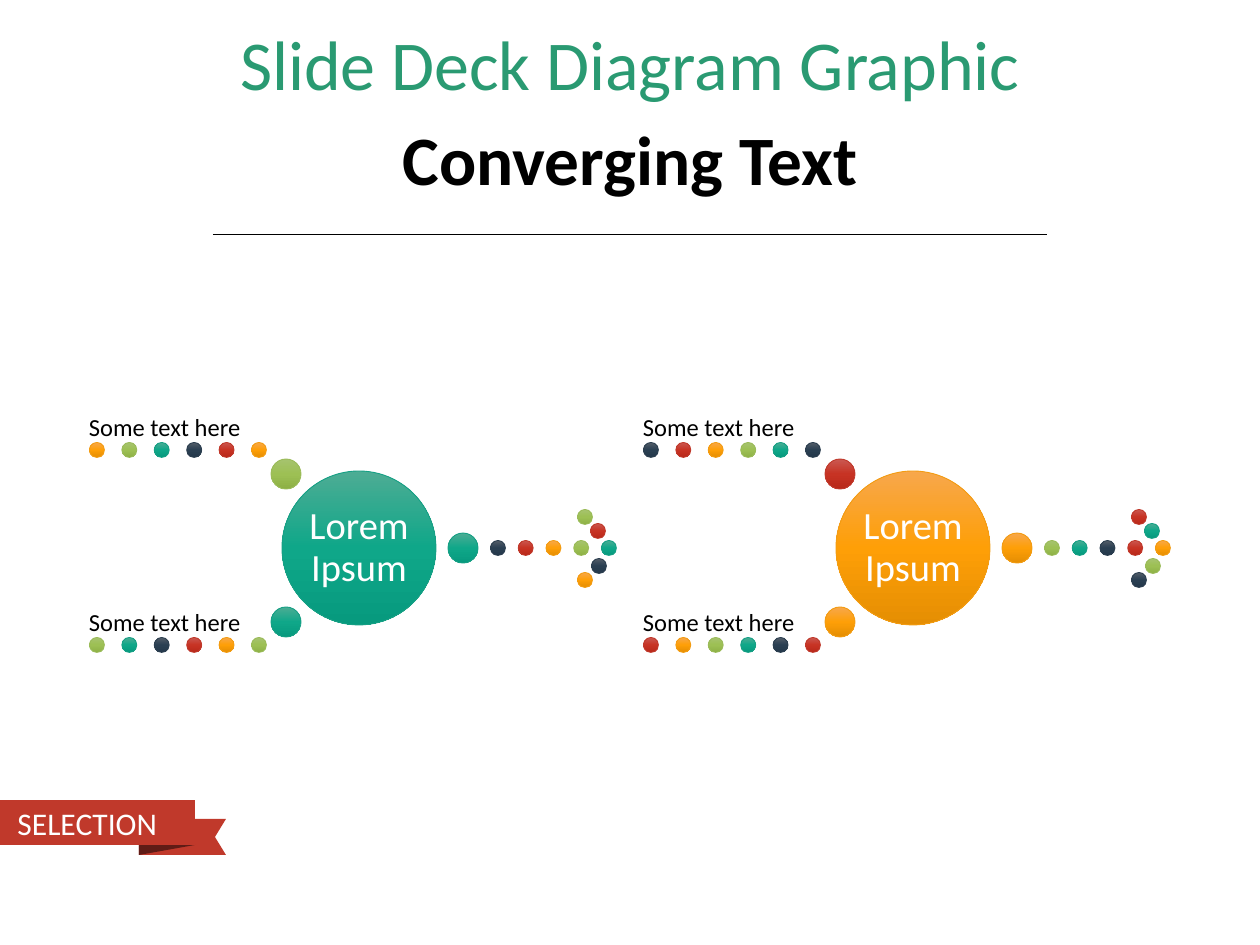
from copy import deepcopy
from itertools import cycle, islice
from pptx import Presentation
from pptx.dml.color import RGBColor as RGB
from pptx.enum.shapes import MSO_CONNECTOR as Link, MSO_SHAPE as Kind
from pptx.enum.text import MSO_ANCHOR as Anchor, PP_ALIGN as Align
from pptx.oxml.ns import qn
from pptx.util import Pt
from lxml.etree import SubElement

# Content
HEAD = "Slide Deck Diagram Graphic"
TITLE = "Converging Text"
TAG = "SELECTION"
# left edge, first colour, hub text, labels
PARTS = [
    (89, "teal", "Lorem Ipsum", ["Some text here", "Some text here"]),
    (643, "orange", "Lorem Ipsum", ["Some text here", "Some text here"]),
]
INK = {"head": "2A9A72", "black": "000000", "white": "FFFFFF",
       "red": "C0392B", "fold": "601C16"}
# line colour, then gradient from top to bottom
BALLS = {
    "teal": ("16A085", "4DAC94", "0FA789", "079A7E"),
    "green": ("9BBB59", "A6C36F", "9DC054", "8DB045"),
    "orange": ("F39C12", "F7A74C", "FE9F07", "E58E03"),
    "red": ("C0392B", "CA5952", "C73324", "B82819"),
    "navy": ("2C3F50", "545E69", "2A3F52", "24384A"),
}
NAMES = list(BALLS)

# Sizes and places in px; x counts from the left edge of a part
DOT, BIG, HUB = 15, 30, 154
MID = 548
HUB_X, SIDE_X, TAIL_X = 270, 197, 374
ROWS = [(474, 450), (622, 645)]  # centre of side ball, of dot row
TIP = [(496, 517), (496, 580), (509, 531), (510, 566)]
FONT = "Calibri"


def px(n):
    return round(n * 914400 / 126)


deck = Presentation()
deck.slide_width, deck.slide_height = px(1260), px(945)
slide = deck.slides.add_slide(deck.slide_layouts[5])
shapes = slide.shapes


def place(shape, *box):
    shape.left, shape.top, shape.width, shape.height = map(px, box)


def write(shape, text, size, ink, align, anchor, pads, bold=False, gap=0.9):
    frame = shape.text_frame
    frame.word_wrap = True
    frame.vertical_anchor = anchor
    (frame.margin_left, frame.margin_top,
     frame.margin_right, frame.margin_bottom) = map(px, pads)
    frame.text = text
    para = frame.paragraphs[0]
    para.alignment, para.line_spacing = align, gap
    font = para.font
    font.name, font.size, font.bold = FONT, Pt(size), bold
    font.color.rgb = RGB.from_string(INK[ink])


def label(box, *args, **more):
    write(shapes.add_textbox(*map(px, box)), *args, **more)


def paint(shape, ink):
    shape.shadow.inherit = False
    shape.fill.solid()
    shape.fill.fore_color.rgb = RGB.from_string(INK[ink])
    shape.line.fill.background()


def ball(x, y, size, name):
    shape = shapes.add_shape(
        Kind.OVAL, *map(px, (x - size / 2, y - size / 2, size, size)))
    shape.shadow.inherit = False
    edge, *shades = BALLS[name]
    shape.line.color.rgb = RGB.from_string(edge)
    shape.line.width = Pt(0.5)
    fill = shape.fill
    fill.gradient()
    fill.gradient_angle = 270
    stops = shape._element.spPr.find(".//" + qn("a:gsLst"))
    stops.insert(1, deepcopy(stops[0]))
    for i, (stop, shade) in enumerate(zip(fill.gradient_stops, shades)):
        stop.position = i / 2
        stop.color.rgb = RGB.from_string(shade)


def hues(start):
    return islice(cycle(NAMES), start, None)


# Headings
pads = (13, 6, 13, 6)
label((87, 20, 1086, 95), HEAD, 40, "head", Align.CENTER, Anchor.MIDDLE, pads)
title = shapes.title
place(title, 87, 116, 1086, 95)
write(title, TITLE, 39.6, "black", Align.CENTER, Anchor.MIDDLE, pads, bold=True)
rule = shapes.add_connector(Link.STRAIGHT, *map(px, (213, 234, 1047, 234)))
rule.line.color.rgb = RGB.from_string(INK["black"])
rule.line.width = Pt(0.5)
SubElement(rule._element.spPr, qn("a:effectLst"))

# Ribbon
FLAPS = [
    ("red", [(139, 819), (226, 819), (215, 837), (226, 855), (139, 855)]),
    ("fold", [(139, 845), (195, 845), (139, 855)]),
]
for ink, spots in FLAPS:
    pen = shapes.build_freeform(*spots[0], scale=px(1))
    pen.add_line_segments(spots[1:], close=True)
    paint(pen.convert_to_shape(), ink)
band = shapes.add_shape(Kind.RECTANGLE, *map(px, (0, 800, 195, 45)))
paint(band, "red")
write(band, TAG, 18, "white", Align.RIGHT, Anchor.MIDDLE, (13, 0, 38, 0), gap=1)

# Converging diagrams
for left, first, text, notes in PARTS:
    start = NAMES.index(first)

    # Arrow, from its point back to the hub
    spots = [(520 - 27.75 * i, MID, DOT) for i in range(5)]
    spots.append((TAIL_X, MID, BIG))
    spots += [(x, y, DOT) for x, y in TIP]
    for (x, y, size), name in zip(spots, hues(start)):
        ball(left + x, y, size, name)

    # Hub
    ball(left + HUB_X, MID, HUB, first)
    label((left + HUB_X - 54, MID - 54, 108, 108), text, 22, "white",
          Align.CENTER, Anchor.MIDDLE, (4, 4, 4, 4))

    # Inputs
    for shift, (side, row), note in zip((1, 0), ROWS, notes):
        spots = [(SIDE_X, side, BIG)]
        spots += [(170 - 32.4 * i, row, DOT) for i in range(6)]
        for (x, y, size), name in zip(spots, hues(start + shift)):
            ball(left + x, y, size, name)
        label((left, row - 47, 178, 39), note, 14, "black",
              Align.LEFT, Anchor.BOTTOM, (0, 0, 0, 0))

deck.save("out.pptx")
